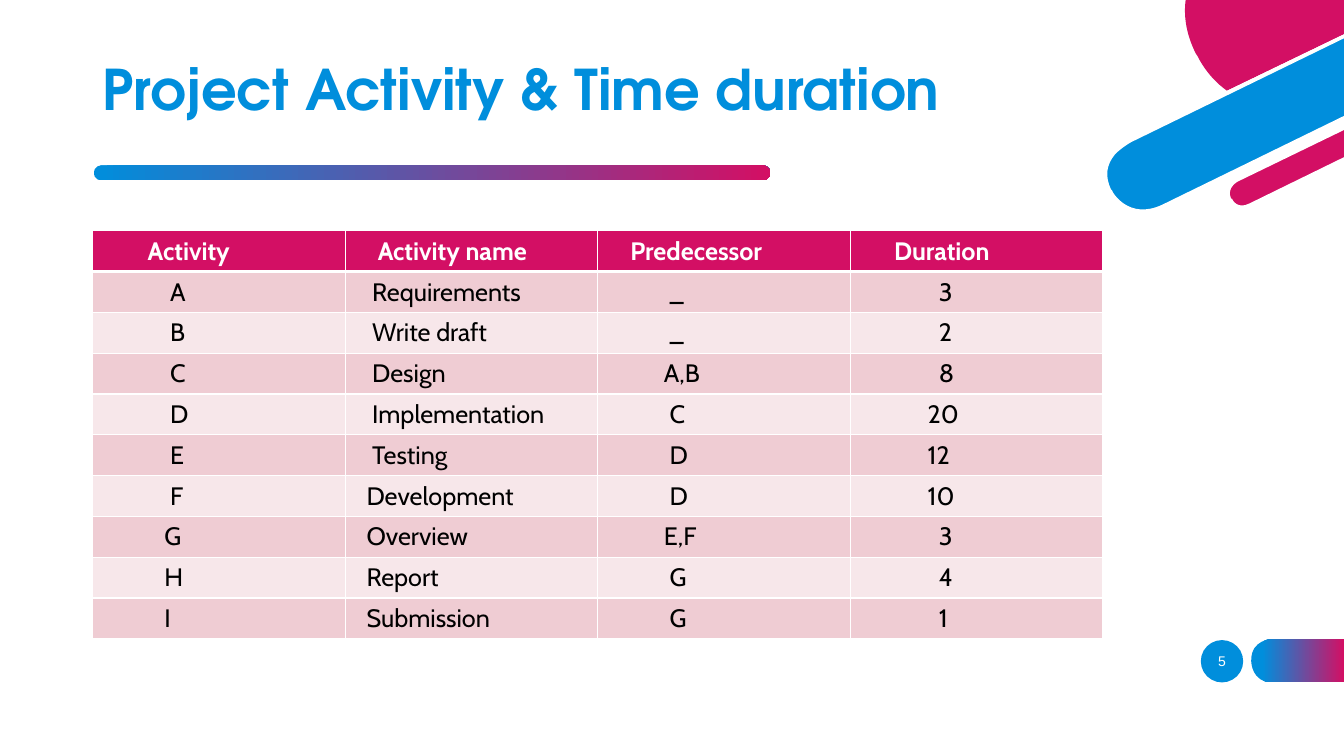
from dataclasses import dataclass

from lxml import etree
from pptx import Presentation
from pptx.dml.color import RGBColor
from pptx.dml.fill import FillFormat
from pptx.enum.shapes import MSO_SHAPE
from pptx.enum.text import MSO_ANCHOR, PP_ALIGN
from pptx.oxml.ns import qn
from pptx.shapes.autoshape import Shape
from pptx.slide import Slide
from pptx.table import _Cell
from pptx.text.text import TextFrame
from pptx.util import Inches, Pt

ELLIPSE, ROUNDED = MSO_SHAPE.OVAL, MSO_SHAPE.ROUNDED_RECTANGLE
LEFT, CENTER = PP_ALIGN.LEFT, PP_ALIGN.CENTER
TOP, MIDDLE = MSO_ANCHOR.TOP, MSO_ANCHOR.MIDDLE

COLORS = {
    "blue": "008EDC", "magenta": "D30F64", "white": "FFFFFF", "black": "000000",
    "odd_row": "EFCCD3", "even_row": "F7E7EA",
}
INDENTS_PER_INCH = 18
CELL_INSET = 0.1

Segment = tuple[float, ...]


@dataclass(frozen=True)
class Outline:
    color: str
    start: tuple[float, float]
    segments: list[Segment]


@dataclass(frozen=True)
class Activity:
    code: str
    name: str
    predecessor: str
    duration: str

    def cells(self) -> list[str]:
        return [self.code, self.name, self.predecessor, self.duration]

    def indents(self) -> list[int]:
        return [11 if self.code >= "G" else 12,
                2 if self.code >= "F" else 3,
                10 if len(self.predecessor) > 1 else 11,
                12 if len(self.duration) > 1 else 14]


HEADERS = ["Activity", "Activity name", "Predecessor", "Duration"]
HEADER_INDENTS = [8, 4, 4, 6]
ACTIVITIES = [
    Activity("A", "Requirements", "_", "3"),
    Activity("B", "Write draft", "_", "2"),
    Activity("C", "Design", "A,B", "8"),
    Activity("D", "Implementation", "C", "20"),
    Activity("E", "Testing", "D", "12"),
    Activity("F", "Development", "D", "10"),
    Activity("G", "Overview", "E,F", "3"),
    Activity("H", "Report", "G", "4"),
    Activity("I", "Submission", "G", "1"),
]

PAGE_TAB = Outline("blue", (12.62, 6.77), [
    (13.33, 6.77), (13.33, 6.34), (12.62, 6.34),
    (12.62, 6.34, 12.41, 6.34, 12.41, 6.55), (12.41, 6.56),
    (12.41, 6.56, 12.41, 6.77, 12.62, 6.77)])

CORNER_ART = [
    Outline("white", (13.33, 0.81), [
        (13.06, 0.94), (12.74, 1.1, 12.44, 1.08, 12.19, 0.89),
        (11.99, 0.74, 11.89, 0.55, 11.89, 0.55), (11.88, 0.52),
        (11.79, 0.34, 11.75, 0.16, 11.78, 0), (11.74, 0),
        (11.71, 0.17, 11.75, 0.35, 11.84, 0.54), (11.86, 0.57),
        (11.86, 0.58, 11.96, 0.77, 12.16, 0.92),
        (12.28, 1.01, 12.44, 1.09, 12.65, 1.09),
        (12.77, 1.09, 12.91, 1.06, 13.08, 0.98), (13.33, 0.86)]),
    Outline("blue", (11.21, 1.39), [
        (11.21, 1.39, 10.85, 1.57, 11.01, 1.89), (11.01, 1.9),
        (11.01, 1.9, 11.17, 2.22, 11.54, 2.04), (13.33, 1.17), (13.33, 0.36)]),
    Outline("magenta", (11.88, 0.56), [
        (11.88, 0.56, 11.97, 0.76, 12.17, 0.9), (13.33, 0.34), (13.33, 0),
        (11.76, 0), (11.74, 0.15, 11.76, 0.33, 11.86, 0.53)]),
    Outline("magenta", (13.33, 1.26), [
        (12.27, 1.78), (12.27, 1.78, 12.13, 1.85, 12.2, 1.97), (12.2, 1.98),
        (12.2, 1.98, 12.26, 2.11, 12.4, 2.04), (13.33, 1.58)]),
    Outline("white", (12.39, 2.02), [
        (12.27, 2.08, 12.22, 1.98, 12.22, 1.97), (12.21, 1.97),
        (12.16, 1.86, 12.28, 1.8, 12.28, 1.8), (13.33, 1.29), (13.33, 1.24),
        (12.26, 1.76), (12.26, 1.76, 12.19, 1.8, 12.17, 1.87),
        (12.15, 1.91, 12.16, 1.95, 12.18, 1.99),
        (12.2, 2.03, 12.25, 2.08, 12.32, 2.08),
        (12.35, 2.08, 12.38, 2.08, 12.41, 2.06), (13.33, 1.61), (13.33, 1.56)]),
    Outline("white", (11.53, 2.03), [
        (11.19, 2.19, 11.03, 1.9, 11.03, 1.89), (11.02, 1.88),
        (10.96, 1.75, 10.97, 1.64, 11.06, 1.53),
        (11.13, 1.46, 11.22, 1.41, 11.22, 1.41), (13.33, 0.38), (13.33, 0.34),
        (11.2, 1.37), (11.19, 1.38, 11.02, 1.46, 10.96, 1.63),
        (10.93, 1.71, 10.94, 1.8, 10.99, 1.9), (10.99, 1.91),
        (10.99, 1.91, 11.1, 2.12, 11.33, 2.12),
        (11.39, 2.12, 11.46, 2.1, 11.54, 2.06), (13.33, 1.19), (13.33, 1.15)]),
]


def rgb(name: str) -> RGBColor:
    return RGBColor.from_string(COLORS[name])


def paint(fill: FillFormat, color: str) -> None:
    fill.solid()
    fill.fore_color.rgb = rgb(color)


def paint_gradient(fill: FillFormat, start: float = 0) -> None:
    fill.gradient()
    fill.gradient_angle = 0
    for stop, color, position in zip(fill.gradient_stops, ("blue", "magenta"), (start, 1)):
        stop.color.rgb = rgb(color)
        stop.position = position


def write(tf: TextFrame, text: str, *, font: str, size: float, color: str,
          bold: bool = False, align: PP_ALIGN = LEFT, spacing: float = 1,
          anchor: MSO_ANCHOR = TOP) -> None:
    tf.word_wrap = True
    tf.vertical_anchor = anchor
    p = tf.paragraphs[0]
    p.alignment, p.line_spacing = align, spacing
    r = p.add_run()
    r.text = text
    r.font.name, r.font.size, r.font.bold = font, Pt(size), bold
    r.font.color.rgb = rgb(color)


def add_outline(s: Slide, outline: Outline) -> Shape:
    x, y = outline.start
    builder = s.shapes.build_freeform(Inches(x), Inches(y))
    builder.add_line_segments([(Inches(seg[-2]), Inches(seg[-1])) for seg in outline.segments],
                              close=True)
    sp = builder.convert_to_shape()
    sides = list(sp._element.iter(qn("a:lnTo")))
    for side, seg in zip(sides, outline.segments):
        if len(seg) == 2:
            continue
        side.tag = qn("a:cubicBezTo")
        for i, (cx, cy) in enumerate((seg[0:2], seg[2:4])):
            pt = etree.Element(qn("a:pt"), x=str(Inches(cx) - sp.left), y=str(Inches(cy) - sp.top))
            side.insert(i, pt)
    sp.shadow.inherit = False
    sp.line.fill.background()
    paint(sp.fill, outline.color)
    return sp


def add_preset(s: Slide, kind: MSO_SHAPE, x: float, y: float, w: float, h: float) -> Shape:
    sp = s.shapes.add_shape(kind, Inches(x), Inches(y), Inches(w), Inches(h))
    sp.shadow.inherit = False
    sp.line.fill.background()
    return sp


def set_borders(cell: _Cell, bottom: float) -> None:
    tcPr = cell._tc.get_or_add_tcPr()
    for i, (side, width) in enumerate((("L", 1), ("R", 1), ("T", 1), ("B", bottom))):
        ln = etree.Element(qn(f"a:ln{side}"), w=str(Pt(width)))
        fill = etree.SubElement(ln, qn("a:solidFill"))
        etree.SubElement(fill, qn("a:srgbClr"), val=COLORS["white"])
        tcPr.insert(i, ln)


def add_activity_table(s: Slide) -> None:
    rows = [(HEADERS, HEADER_INDENTS)] + [(a.cells(), a.indents()) for a in ACTIVITIES]
    table = s.shapes.add_table(len(rows), len(HEADERS), Inches(0.92), Inches(2.29),
                               Inches(10.02), Inches(4.05)).table
    for i, (texts, indents) in enumerate(rows):
        header = i == 0
        fill = "magenta" if header else "odd_row" if i % 2 else "even_row"
        for j, (text, indent) in enumerate(zip(texts, indents)):
            cell = table.cell(i, j)
            cell.margin_left = Inches(CELL_INSET + indent / INDENTS_PER_INCH)
            paint(cell.fill, fill)
            set_borders(cell, 3 if header else 1)
            write(cell.text_frame, text, font="Cabin", size=18, bold=header,
                  color="white" if header else "black")


def main() -> None:
    prs = Presentation()
    prs.slide_width, prs.slide_height = Inches(13.33), Inches(7.5)
    s = prs.slides.add_slide(prs.slide_layouts[6])
    paint(add_preset(s, ELLIPSE, 11.91, 6.35, 0.42, 0.42).fill, "blue")
    paint_gradient(add_outline(s, PAGE_TAB).fill, 0.12)
    for outline in CORNER_ART:
        add_outline(s, outline)
    rule = add_preset(s, ROUNDED, 0.93, 1.64, 6.71, 0.15)
    rule.adjustments[0] = 0.5
    paint_gradient(rule.fill)
    number = s.shapes.add_textbox(Inches(11.82), Inches(6.36), Inches(0.6), Inches(0.4))
    write(number.text_frame, "5", font="Arial", size=10, color="white",
          align=CENTER, anchor=MIDDLE)
    title = s.shapes.add_textbox(Inches(0.92), Inches(0.4), Inches(9.9), Inches(1.03))
    write(title.text_frame, "Project Activity & Time duration", font="TeX Gyre Adventor",
          size=40, color="blue", bold=True, spacing=0.9, anchor=MIDDLE)
    add_activity_table(s)
    prs.save("out.pptx")


if __name__ == "__main__":
    main()
